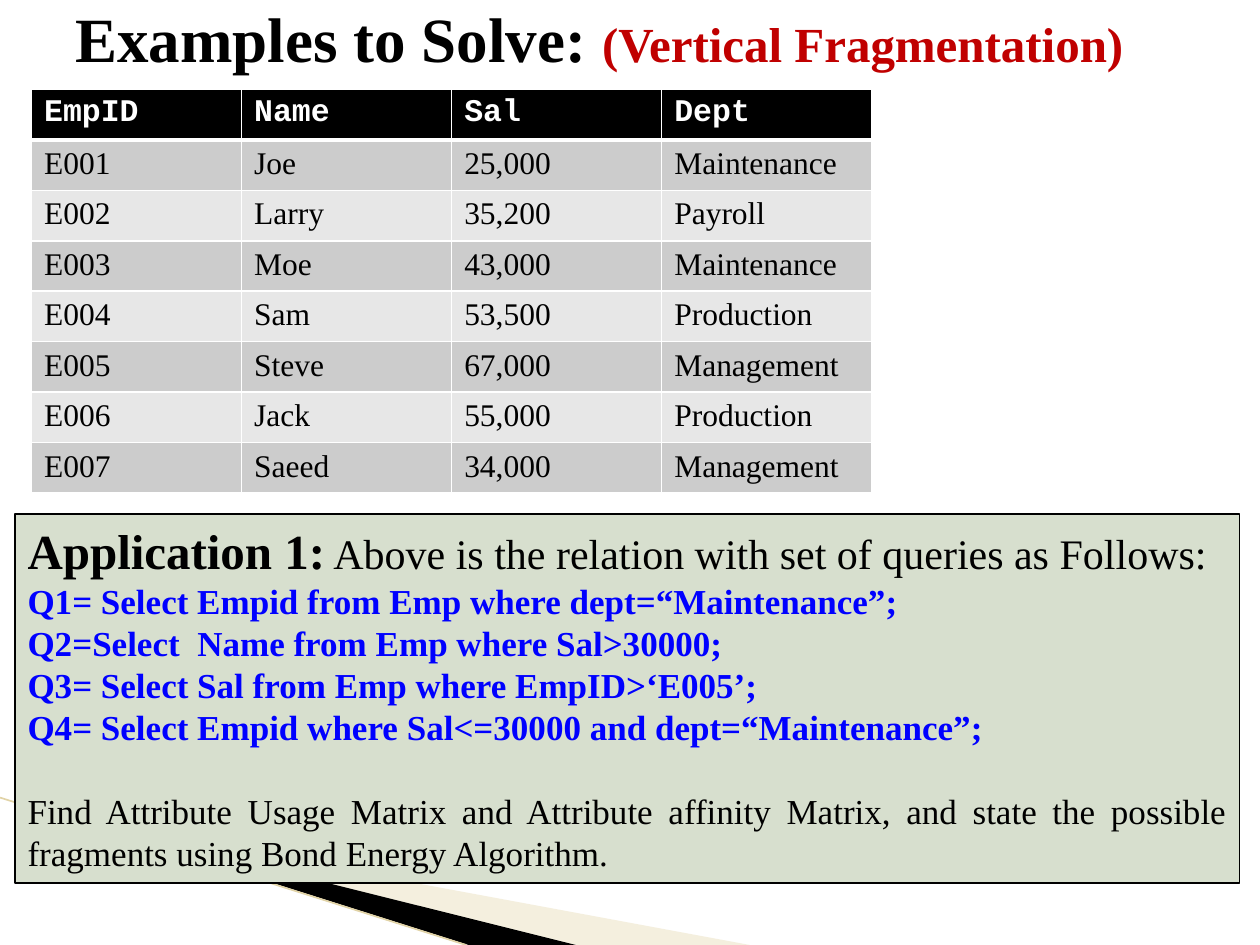
from typing import NamedTuple

from lxml.etree import SubElement
from pptx import Presentation
from pptx.dml.color import RGBColor
from pptx.enum.shapes import MSO_CONNECTOR, MSO_SHAPE
from pptx.enum.text import MSO_ANCHOR, PP_ALIGN
from pptx.oxml import parse_xml
from pptx.oxml.ns import nsdecls, qn
from pptx.util import Inches, Pt

COLORS = {
    "black": "000000", "white": "FFFFFF", "red": "C00000", "blue": "0000FF",
    "band_dark": "CCCCCC", "band_light": "E7E7E7", "panel": "D7DFCE",
    "sand": "E4D7AD", "sand_line": "E1D3A6",
}
SERIF, MONO = "Times New Roman", "Courier New"


class Run(NamedTuple):
    text: str
    size: float
    color: str = "black"
    bold: bool = False
    font: str = SERIF


class Wedge(NamedTuple):
    points: list[tuple[float, float]]
    color: str
    opacity: int = 100


WEDGES = [
    Wedge([(0.55, 6.5), (5.95, 7.5), (4.56, 7.5)], "sand", 40),
    Wedge([(0.53, 6.49), (4.57, 7.5), (3.72, 7.5)], "black"),
]
EMPLOYEES = [
    ("EmpID", "Name", "Sal", "Dept"),
    ("E001", "Joe", "25,000", "Maintenance"),
    ("E002", "Larry", "35,200", "Payroll"),
    ("E003", "Moe", "43,000", "Maintenance"),
    ("E004", "Sam", "53,500", "Production"),
    ("E005", "Steve", "67,000", "Management"),
    ("E006", "Jack", "55,000", "Production"),
    ("E007", "Saeed", "34,000", "Management"),
]
QUERIES = [
    "Q1= Select Empid from Emp where dept=“Maintenance”;",
    "Q2=Select  Name from Emp where Sal>30000;",
    "Q3= Select Sal from Emp where EmpID>‘E005’;",
    "Q4= Select Empid where Sal<=30000 and dept=“Maintenance”;",
]
TITLE = [Run("Examples to Solve: ", 36, bold=True),
         Run("(Vertical Fragmentation)", 28, "red", True)]
INTRO = [Run("Application 1:", 28, bold=True),
         Run(" Above is the relation with set of queries as Follows:", 24)]
TASK = [Run("Find Attribute Usage Matrix and Attribute affinity Matrix, and state "
            "the possible fragments using Bond Energy Algorithm.", 20)]


def rgb(name: str) -> RGBColor:
    return RGBColor.from_string(COLORS[name])


def add_runs(p, runs: list[Run]) -> None:
    for run in runs:
        r = p.add_run()
        r.text = run.text
        r.font.size, r.font.bold, r.font.name = Pt(run.size), run.bold, run.font
        r.font.color.rgb = rgb(run.color)


def fill_text(tf, paragraphs: list[list[Run]]) -> None:
    tf.word_wrap = True
    for i, runs in enumerate(paragraphs):
        p = tf.add_paragraph() if i else tf.paragraphs[0]
        p.alignment = PP_ALIGN.JUSTIFY
        add_runs(p, runs)


def add_wedge(slide, wedge: Wedge) -> None:
    points = [(Inches(x), Inches(y)) for x, y in wedge.points]
    builder = slide.shapes.build_freeform(*points[0])
    builder.add_line_segments(points[1:], close=True)
    sp = builder.convert_to_shape()
    sp.shadow.inherit = False
    sp.fill.solid()
    sp.fill.fore_color.rgb = rgb(wedge.color)
    sp.line.fill.background()
    if wedge.opacity < 100:
        color = sp.fill._xPr.find(qn("a:solidFill"))[0]
        SubElement(color, qn("a:alpha"), val=str(wedge.opacity * 1000))


def add_borders(cell, widths: dict[str, float]) -> None:
    # Borders come before the fill in the cell properties
    tc_pr = cell._tc.get_or_add_tcPr()
    for i, (side, width) in enumerate(widths.items()):
        tc_pr.insert(i, parse_xml(
            f'<a:ln{side} {nsdecls("a")} w="{Pt(width)}"><a:solidFill>'
            f'<a:srgbClr val="{COLORS["white"]}"/></a:solidFill></a:ln{side}>'))


def add_employee_table(slide) -> None:
    rows, cols = len(EMPLOYEES), len(EMPLOYEES[0])
    table = slide.shapes.add_table(rows, cols, Inches(0.25), Inches(0.71),
                                   Inches(6.67), Inches(0.4 * rows)).table
    for i, record in enumerate(EMPLOYEES):
        header = i == 0
        band = "black" if header else "band_dark" if i % 2 else "band_light"
        for j, value in enumerate(record):
            cell = table.cell(i, j)
            cell.fill.solid()
            cell.fill.fore_color.rgb = rgb(band)
            add_borders(cell, {"L": 1, "R": 1, "T": 3 if i == 1 else 1,
                               "B": 3 if header else 1})
            run = Run(value, 18, "white", True, MONO) if header else Run(value, 18)
            add_runs(cell.text_frame.paragraphs[0], [run])


def main() -> None:
    prs = Presentation()
    prs.slide_width, prs.slide_height = Inches(10), Inches(7.5)
    slide = prs.slides.add_slide(prs.slide_layouts[6])

    # Corner decoration
    for wedge in WEDGES:
        add_wedge(slide, wedge)
    edge = slide.shapes.add_connector(MSO_CONNECTOR.STRAIGHT, Inches(0),
                                      Inches(6.33), Inches(3.7), Inches(7.5))
    edge.line.color.rgb = rgb("sand_line")
    edge.line.width = Pt(0.95)
    SubElement(edge._element.spPr, qn("a:effectLst"))

    # Title
    title = slide.shapes.add_textbox(Inches(0.5), Inches(-0.33), Inches(9), Inches(1.25))
    title.text_frame.vertical_anchor = MSO_ANCHOR.MIDDLE
    fill_text(title.text_frame, [TITLE])

    add_employee_table(slide)

    # Application panel
    sp = slide.shapes.add_shape(MSO_SHAPE.RECTANGLE, Inches(0.12), Inches(4.08),
                                Inches(9.72), Inches(2.93))
    sp.shadow.inherit = False
    sp.fill.solid()
    sp.fill.fore_color.rgb = rgb("panel")
    sp.line.color.rgb = rgb("black")
    sp.line.width = Pt(0.75)
    tf = sp.text_frame
    tf.vertical_anchor = MSO_ANCHOR.TOP
    queries = [[Run(query, 20, "blue", True)] for query in QUERIES]
    fill_text(tf, [INTRO, *queries, TASK])
    tf.paragraphs[-1].space_before = Pt(24)

    prs.save("out.pptx")


if __name__ == "__main__":
    main()
